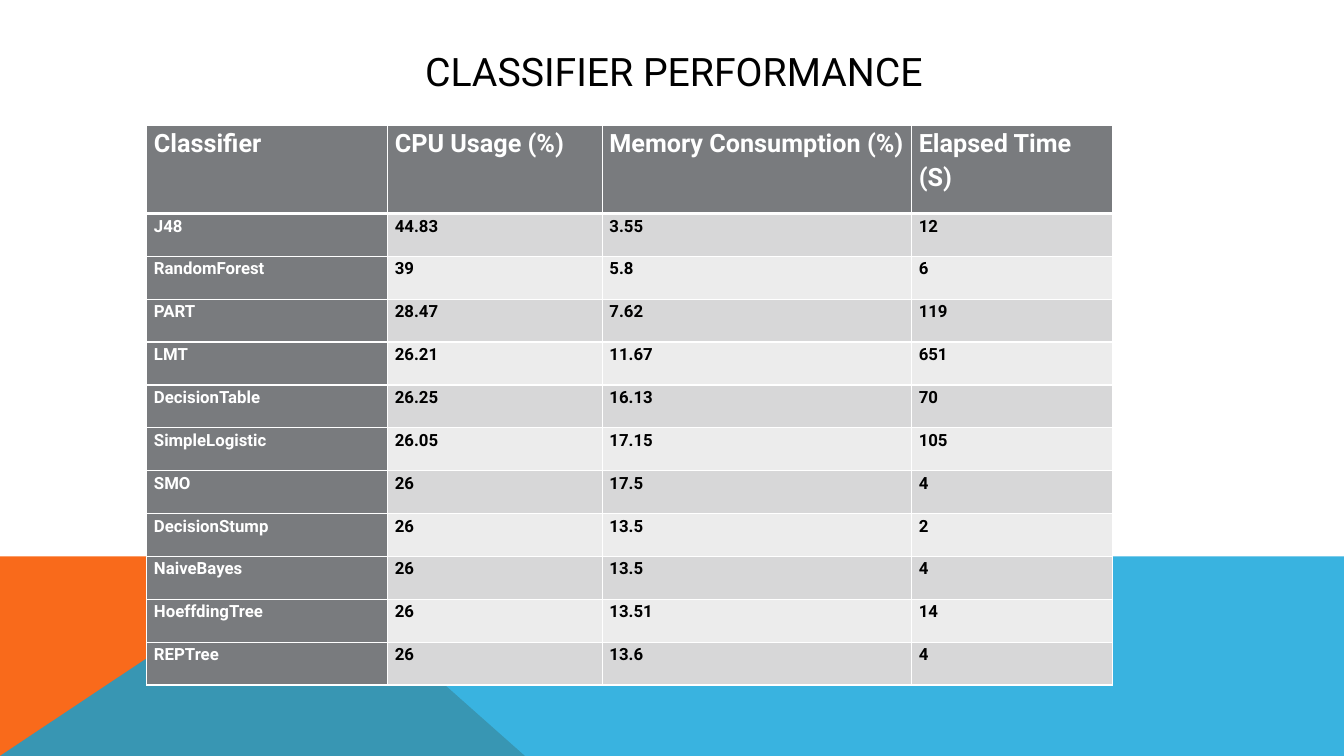
from dataclasses import dataclass

from lxml import etree
from pptx import Presentation
from pptx.dml.color import RGBColor
from pptx.enum.text import MSO_ANCHOR, MSO_AUTO_SIZE, PP_ALIGN
from pptx.oxml.ns import qn
from pptx.util import Cm, Pt

CENTER = PP_ALIGN.CENTER
MIDDLE = MSO_ANCHOR.MIDDLE
NO_AUTOFIT = MSO_AUTO_SIZE.NONE
TITLE_ONLY = 5


@dataclass(frozen=True)
class Theme:
    font: str = "Roboto"
    black: str = "000000"
    white: str = "FFFFFF"
    orange: str = "F96A1B"
    blue: str = "08A1D9"
    blue_opacity: int = 80
    header: str = "797B7E"
    bands: tuple = ("D7D7D8", "ECECEC")
    title_size: int = 28
    header_size: int = 18
    body_size: int = 12
    rule: int = 1
    header_rule: int = 3


THEME = Theme()

HEADINGS = ("Classifier", "CPU Usage (%)", "Memory Consumption (%)", "Elapsed Time (S)")
RESULTS = (
    ("J48", "44.83", "3.55", "12"),
    ("RandomForest", "39", "5.8", "6"),
    ("PART", "28.47", "7.62", "119"),
    ("LMT", "26.21", "11.67", "651"),
    ("DecisionTable", "26.25", "16.13", "70"),
    ("SimpleLogistic", "26.05", "17.15", "105"),
    ("SMO", "26", "17.5", "4"),
    ("DecisionStump", "26", "13.5", "2"),
    ("NaiveBayes", "26", "13.5", "4"),
    ("HoeffdingTree", "26", "13.51", "14"),
    ("REPTree", "26", "13.6", "4"),
)
COLUMN_SHARES = (2.39, 2.13, 3.07, 1.99)
HEADER_SHARE = 0.158


def add_text(paragraph, text, size, color, bold=False):
    run = paragraph.add_run()
    run.text = text
    run.font.name = THEME.font
    run.font.size = Pt(size)
    run.font.bold = bold
    run.font.color.rgb = RGBColor.from_string(color)


def add_panel(slide, points, color, opacity=100):
    builder = slide.shapes.build_freeform(*points[0])
    builder.add_line_segments(points[1:], close=True)
    panel = builder.convert_to_shape()
    panel.shadow.inherit = False
    panel.line.fill.background()
    panel.fill.solid()
    panel.fill.fore_color.rgb = RGBColor.from_string(color)
    if opacity < 100:
        color_node = panel.fill._xPr.find(qn("a:solidFill"))[0]
        etree.SubElement(color_node, qn("a:alpha"), val=str(opacity * 1000))


def add_footer_band(slide, left, top, width, height):
    """Two overlapping slanted panels along the foot of the slide."""
    right, bottom = left + width, top + height
    peak = left + Cm(7.56)
    add_panel(slide, [(left, bottom), (left, top), (peak, top),
                      (left + Cm(13.23), bottom)], THEME.orange)
    add_panel(slide, [(left, bottom), (peak, top), (right, top),
                      (right, bottom)], THEME.blue, THEME.blue_opacity)


def add_title(slide, left, top, width, height):
    title = slide.shapes.title
    title.left, title.top, title.width, title.height = left, top, width, height
    frame = title.text_frame
    frame.auto_size = NO_AUTOFIT
    frame.vertical_anchor = MIDDLE
    heading = frame.paragraphs[0]
    heading.alignment = CENTER
    add_text(heading, "CLASSIFIER PERFORMANCE", THEME.title_size, THEME.black)


def set_borders(cell, top, bottom):
    properties = cell._tc.get_or_add_tcPr()
    widths = {"a:lnL": THEME.rule, "a:lnR": THEME.rule, "a:lnT": top, "a:lnB": bottom}
    for side, width in widths.items():
        line = etree.SubElement(properties, qn(side), w=str(Pt(width)))
        fill = etree.SubElement(line, qn("a:solidFill"))
        etree.SubElement(fill, qn("a:srgbClr"), val=THEME.white)


def fill_cell(cell, text, row, column):
    is_header = row == 0
    is_label = is_header or column == 0
    set_borders(cell,
                THEME.header_rule if row == 1 else THEME.rule,
                THEME.header_rule if is_header else THEME.rule)
    cell.fill.solid()
    cell.fill.fore_color.rgb = RGBColor.from_string(
        THEME.header if is_label else THEME.bands[(row - 1) % 2])
    cell.margin_left = cell.margin_right = Cm(0.18)
    cell.margin_top = cell.margin_bottom = 0
    paragraph = cell.text_frame.paragraphs[0]
    paragraph.line_spacing = 1.15
    add_text(paragraph, text,
             THEME.header_size if is_header else THEME.body_size,
             THEME.white if is_label else THEME.black, bold=True)


def add_results_table(slide, left, top, width, height):
    rows = (HEADINGS, *RESULTS)
    table = slide.shapes.add_table(
        len(rows), len(HEADINGS), left, top, width, height).table
    table.horz_banding = False

    # Column widths and row heights
    for column, share in zip(table.columns, COLUMN_SHARES):
        column.width = int(width * share / sum(COLUMN_SHARES))
    header_height = int(height * HEADER_SHARE)
    for index, row in enumerate(table.rows):
        row.height = header_height if index == 0 else (height - header_height) // len(RESULTS)

    # Cell contents
    for r, values in enumerate(rows):
        for c, text in enumerate(values):
            fill_cell(table.cell(r, c), text, r, c)


def main():
    presentation = Presentation()
    presentation.slide_width, presentation.slide_height = Cm(33.87), Cm(19.05)
    slide = presentation.slides.add_slide(presentation.slide_layouts[TITLE_ONLY])
    add_footer_band(slide, 0, Cm(14.02), Cm(33.87), Cm(5.03))
    add_title(slide, Cm(3.05), Cm(1.02), Cm(27.86), Cm(1.52))
    add_results_table(slide, Cm(3.7), Cm(3.15), Cm(24.33), Cm(14.12))
    presentation.save("out.pptx")


if __name__ == "__main__":
    main()
